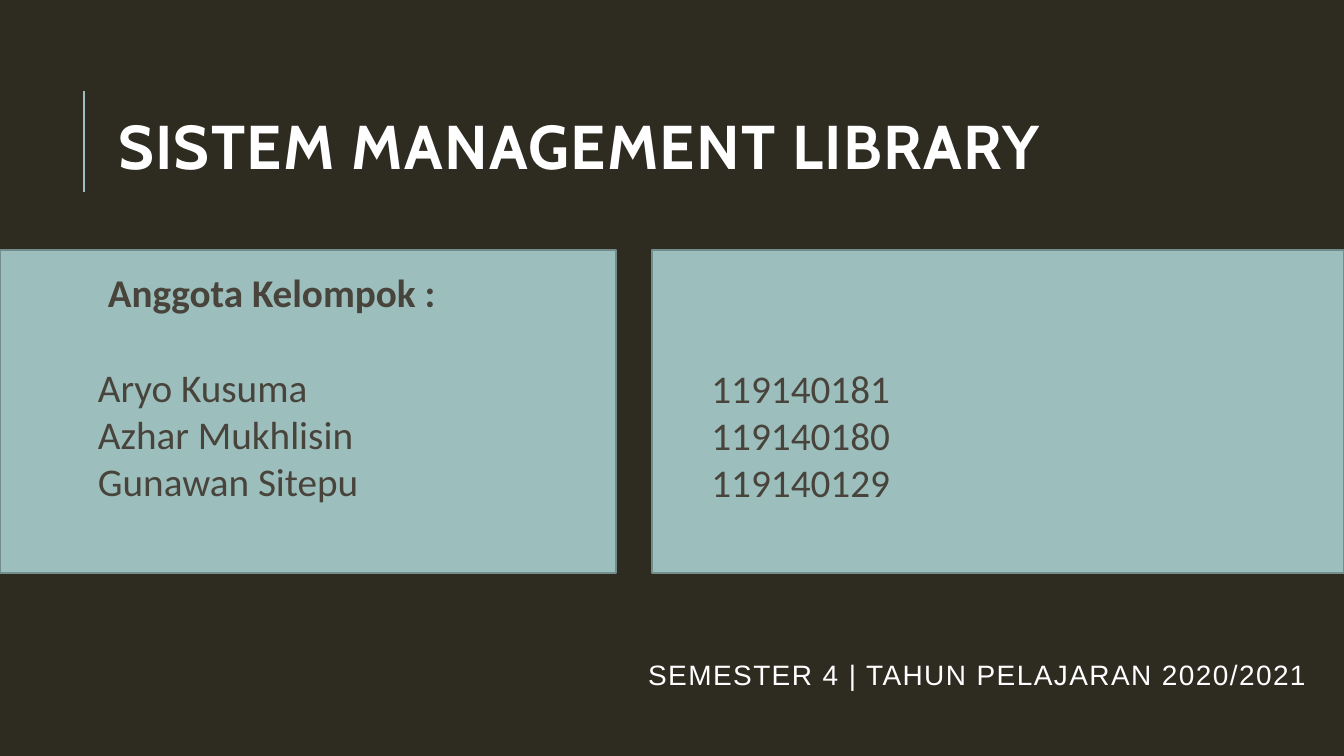
from lxml.etree import SubElement
from pptx import Presentation
from pptx.dml.color import RGBColor
from pptx.enum.shapes import MSO_CONNECTOR, MSO_SHAPE
from pptx.enum.text import MSO_ANCHOR, MSO_AUTO_SIZE, PP_ALIGN
from pptx.oxml.ns import qn
from pptx.util import Cm, Pt

TITLE = "SISTEM MANAGEMENT LIBRARY"
HEADING = "Anggota Kelompok :"
MEMBERS = [
    ("Aryo Kusuma", "119140181"),
    ("Azhar Mukhlisin", "119140180"),
    ("Gunawan Sitepu", "119140129"),
]
TERM = "SEMESTER 4 | TAHUN PELAJARAN 2020/2021"

DARK = RGBColor(0x2E, 0x2B, 0x21)
TEAL = RGBColor(0x9C, 0xBE, 0xBD)
TEAL_EDGE = RGBColor(0x73, 0x8D, 0x8C)
BROWN = RGBColor(0x48, 0x44, 0x3B)
WHITE = RGBColor(0xFF, 0xFF, 0xFF)

SLIDE_WIDTH, SLIDE_HEIGHT = Cm(33.87), Cm(19.05)
PANEL_TOP, PANEL_HEIGHT = Cm(6.3), Cm(8.15)
LEFT_PANEL_WIDTH = Cm(15.52)
RIGHT_PANEL_LEFT = Cm(16.43)
TEXT_TOP = Cm(0.45)
ROW_HEIGHT = Cm(1.21)


def style_span(span, size, font, color, bold=False, spacing=0):
    span.font.size = Pt(size)
    span.font.name = font
    span.font.color.rgb = color
    span.font.bold = bold
    if spacing:
        span.font._element.set("spc", str(spacing * 100))


def fill_placeholder(box, text, place, anchor, size, font, bold=False):
    box.left, box.top, box.width, box.height = place
    frame = box.text_frame
    frame.text = text
    frame.word_wrap = True
    frame.auto_size = MSO_AUTO_SIZE.NONE
    frame.vertical_anchor = anchor
    para = frame.paragraphs[0]
    para.alignment = PP_ALIGN.LEFT
    para.space_before = Pt(0)
    para.line_spacing = 1.0
    style_span(para.runs[0], size, font, WHITE, bold, spacing=1)


def add_panel(page, left, width, lines, indent, text_top):
    box = page.shapes.add_shape(MSO_SHAPE.RECTANGLE, left, PANEL_TOP, width, PANEL_HEIGHT)
    box.shadow.inherit = False
    box.fill.solid()
    box.fill.fore_color.rgb = TEAL
    box.line.color.rgb = TEAL_EDGE
    box.line.width = Pt(1.25)
    frame = box.text_frame
    frame.word_wrap = True
    frame.vertical_anchor = MSO_ANCHOR.TOP
    frame.margin_left = indent
    frame.margin_top = text_top
    frame.text = "\n".join(lines)
    for para in frame.paragraphs:
        para.alignment = PP_ALIGN.LEFT
        style_span(para.runs[0], 28, "Calibri", BROWN)
    return frame


def main():
    deck = Presentation()
    deck.slide_width, deck.slide_height = SLIDE_WIDTH, SLIDE_HEIGHT
    page = deck.slides.add_slide(deck.slide_layouts[0])
    page.background.fill.solid()
    page.background.fill.fore_color.rgb = DARK

    title, term = page.placeholders
    fill_placeholder(title, TITLE, (Cm(2.72), Cm(2.36), Cm(29.21), Cm(7.85)),
                     MSO_ANCHOR.TOP, 44.1, "Cabin", bold=True)
    title.text_frame.margin_top = Cm(0.36)
    fill_placeholder(term, TERM, (Cm(16.08), Cm(16.25), Cm(17.79), Cm(1.5)),
                     MSO_ANCHOR.MIDDLE, 20, "Arial")

    rule = page.shapes.add_connector(MSO_CONNECTOR.STRAIGHT, Cm(2.11), Cm(4.83), Cm(2.11), Cm(2.29))
    rule.line.color.rgb = TEAL
    rule.line.width = Pt(1.5)
    SubElement(rule._element.spPr, qn("a:effectLst"))

    names, numbers = zip(*MEMBERS)
    members = add_panel(page, 0, LEFT_PANEL_WIDTH, [HEADING, *names], Cm(2.47), TEXT_TOP)
    heading = members.paragraphs[0]
    heading.runs[0].font.bold = True
    heading.space_after = ROW_HEIGHT
    heading._p.get_or_add_pPr().set("marL", str(Cm(0.25)))
    add_panel(page, RIGHT_PANEL_LEFT, SLIDE_WIDTH - RIGHT_PANEL_LEFT, numbers,
              Cm(1.5), TEXT_TOP + 2 * ROW_HEIGHT)

    deck.save("out.pptx")


if __name__ == "__main__":
    main()
